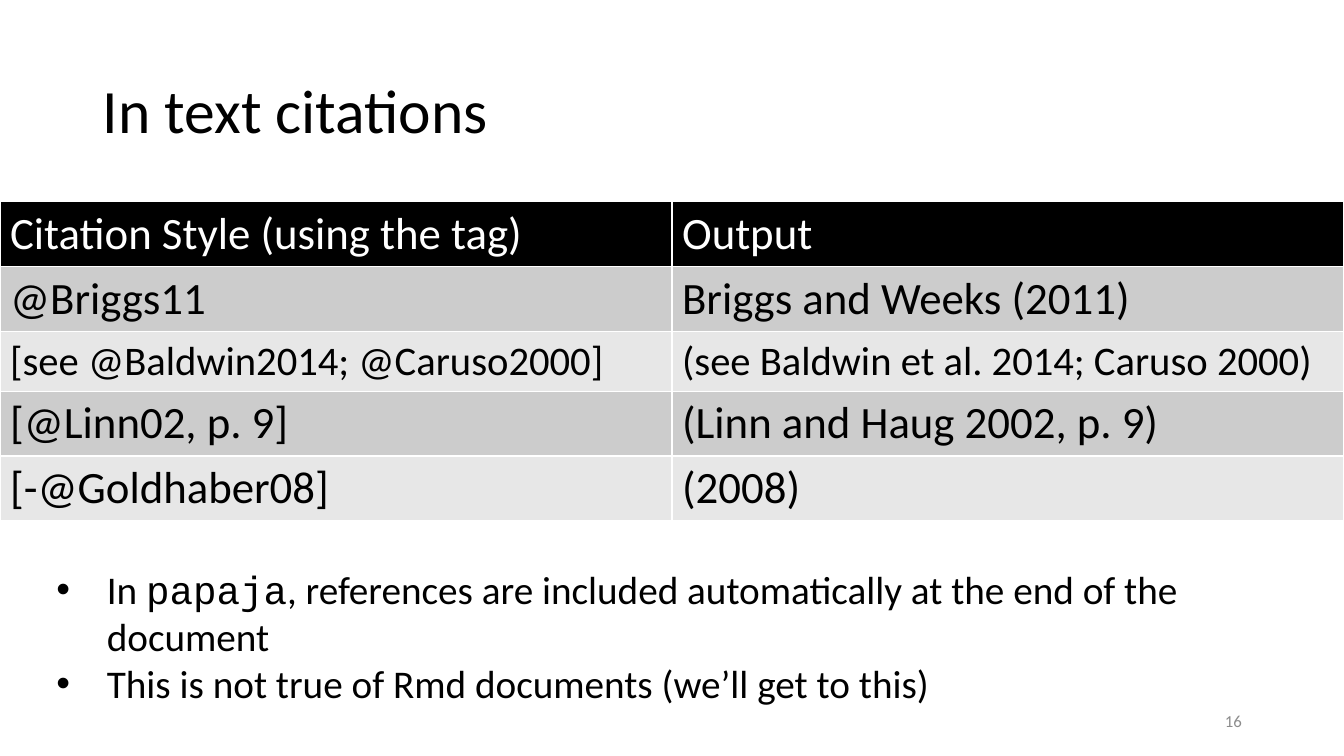
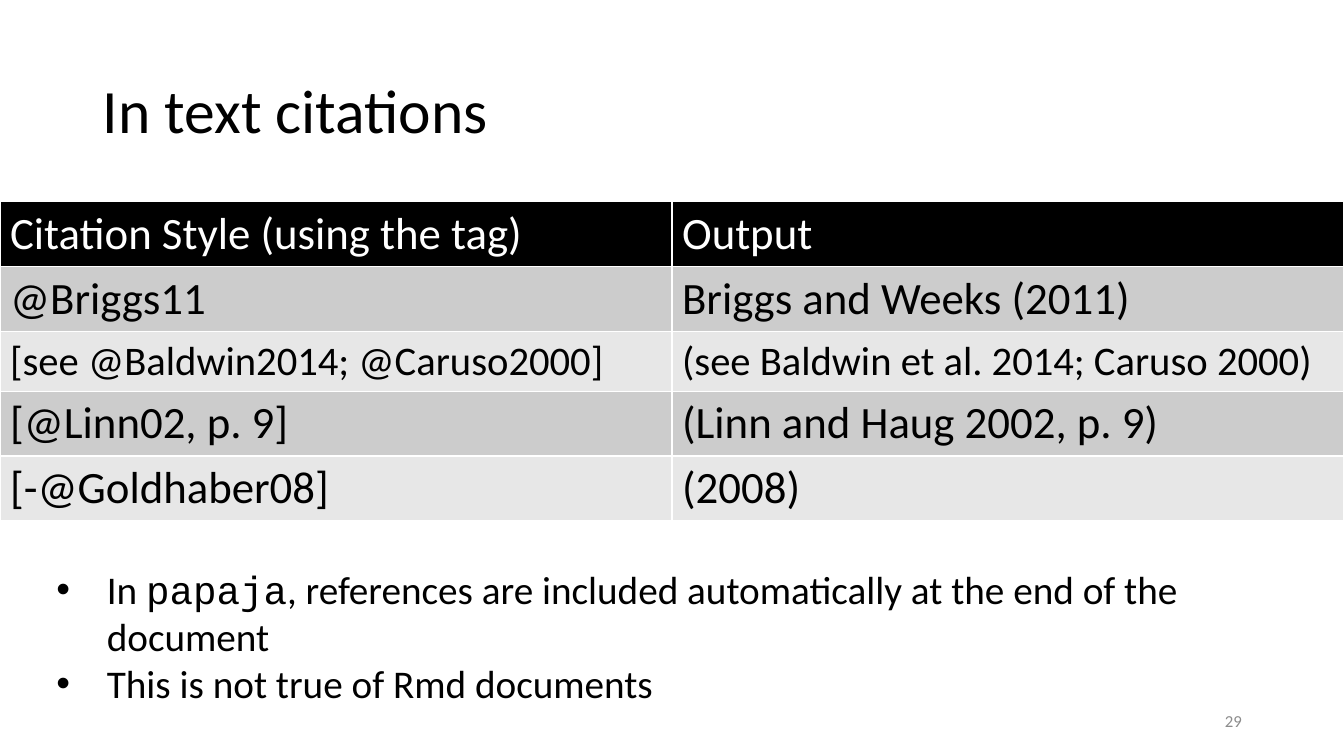
from pptx import Presentation
from pptx.dml.color import RGBColor
from pptx.enum.text import MSO_ANCHOR, MSO_AUTO_SIZE, PP_ALIGN
from pptx.util import Inches, Pt

LEFT, RIGHT = PP_ALIGN.LEFT, PP_ALIGN.RIGHT
TOP, MIDDLE = MSO_ANCHOR.TOP, MSO_ANCHOR.MIDDLE
FIXED = MSO_AUTO_SIZE.NONE

# Shared look
COLORS = {"ink": "000000", "paper": "FFFFFF", "odd": "CCCCCC",
          "even": "E7E7E7", "page": "8C8C8C"}
SANS, MONO = "Calibri", "Courier New"
BIG, SMALL = 32, 29

# Shared content: left cell, right cell, text size
ROWS = [
    ("Citation Style (using the tag)", "Output", BIG),
    ("@Briggs11", "Briggs and Weeks (2011)", BIG),
    ("[see @Baldwin2014; @Caruso2000]",
     "(see Baldwin et al. 2014; Caruso 2000)", SMALL),
    ("[@Linn02, p. 9]", "(Linn and Haug 2002, p. 9)", BIG),
    ("[-@Goldhaber08]", "(2008)", BIG),
]
FIRST = [("In ", SANS), ("papaja", MONO),
         (", references are included automatically at the end of the document", SANS)]

# Page number and last bullet of each slide
PAGES = [
    ("16", "This is not true of Rmd documents (we’ll get to this)"),
    ("29", "This is not true of Rmd documents"),
]

deck = Presentation()
deck.slide_width, deck.slide_height = Inches(13.33), Inches(7.5)


def area(left, top, width, height):
    """Turn percentages of the slide into lengths."""
    wide, high = deck.slide_width / 100, deck.slide_height / 100
    return int(left * wide), int(top * high), int(width * wide), int(height * high)


def add_run(para, text, size, color="ink", face=SANS):
    run = para.add_run()
    run.text = text
    font = run.font
    font.name, font.size, font.bold = face, Pt(size), False
    font.color.rgb = RGBColor.from_string(COLORS[color])


for page, last in PAGES:
    slide = deck.slides.add_slide(deck.slide_layouts[1])
    title, body = slide.shapes.title, slide.placeholders[1]

    # Title
    title.left, title.top, title.width, title.height = area(6.9, 5.33, 86.25, 19.33)
    title.text_frame.vertical_anchor = MIDDLE
    title.text_frame.auto_size = FIXED
    para = title.text_frame.paragraphs[0]
    para.alignment, para.line_spacing = LEFT, 0.9
    add_run(para, "In text citations", 44)

    # Citation table, rows one text line high
    table = slide.shapes.add_table(len(ROWS), 2, *area(0, 26.67, 100, 41.6)).table
    for i, (tag, output, size) in enumerate(ROWS):
        table.rows[i].height = Pt(size * 1.22) + Inches(0.1)
        fill = "ink" if i == 0 else "odd" if i % 2 else "even"
        for cell, text in zip(table.rows[i].cells, (tag, output)):
            cell.fill.solid()
            cell.fill.fore_color.rgb = RGBColor.from_string(COLORS[fill])
            cell.vertical_anchor = MIDDLE if i else TOP
            add_run(cell.text_frame.paragraphs[0], text, size, "ink" if i else "paper")

    # Page number
    box = slide.shapes.add_textbox(*area(70.65, 92.67, 22.5, 5.33))
    box.text_frame.word_wrap = True
    box.text_frame.vertical_anchor = MIDDLE
    para = box.text_frame.paragraphs[0]
    para.alignment = RIGHT
    add_run(para, page, 12, "page")

    # Bullets
    body.left, body.top, body.width, body.height = area(3.45, 74.13, 88.35, 20.13)
    frame = body.text_frame
    frame.auto_size = FIXED
    for i, parts in enumerate((FIRST, [(last, SANS)])):
        para = frame.add_paragraph() if i else frame.paragraphs[0]
        para.space_before = Pt(0)
        props = para._p.get_or_add_pPr()
        props.set("marL", str(Inches(0.5)))
        props.set("indent", str(-Inches(0.5)))
        for text, face in parts:
            add_run(para, text, 28, face=face)

deck.save("out.pptx")
